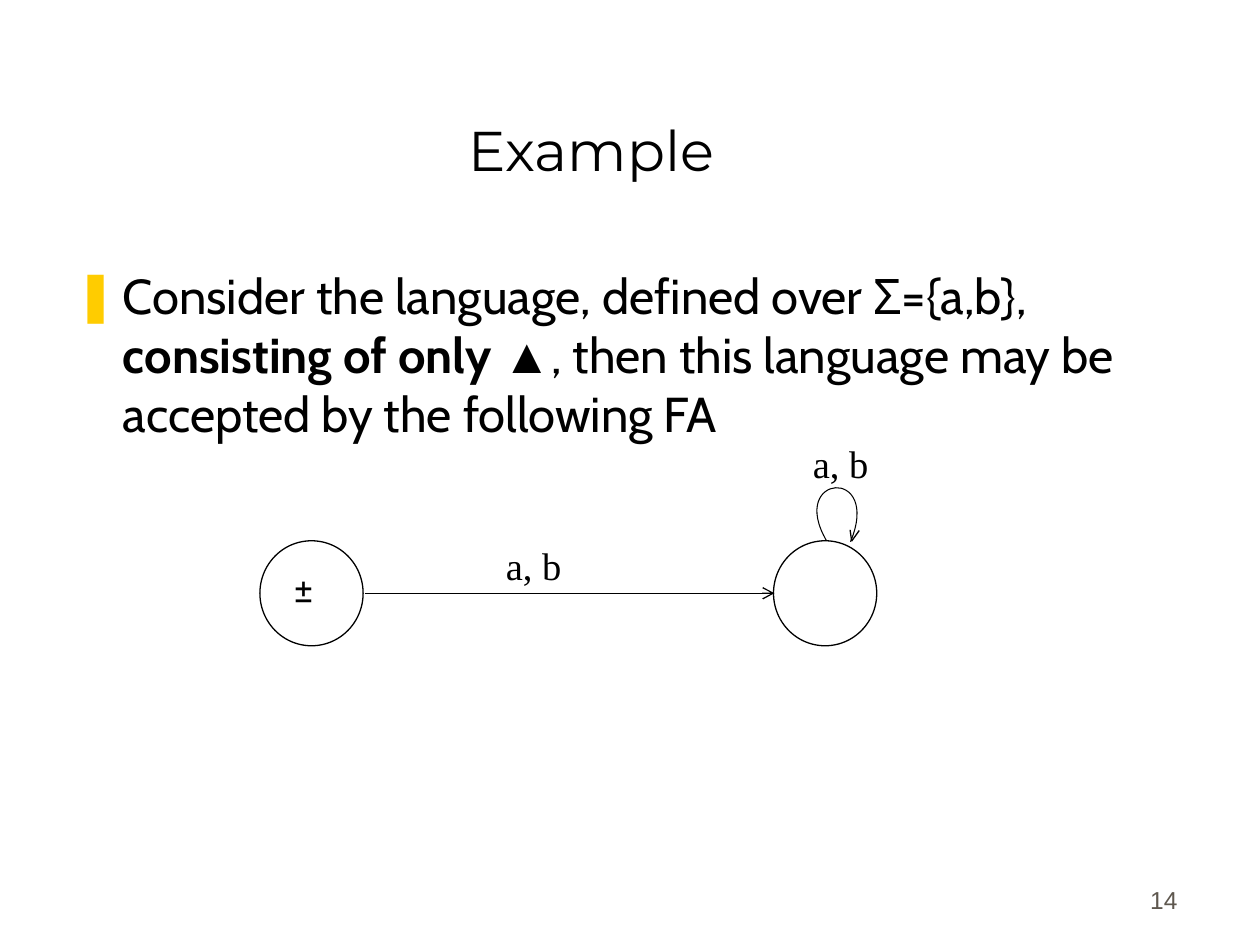
from lxml import etree
from pptx import Presentation
from pptx.dml.color import RGBColor
from pptx.enum.shapes import MSO_CONNECTOR, MSO_SHAPE
from pptx.enum.text import MSO_ANCHOR, MSO_AUTO_SIZE, PP_ALIGN
from pptx.oxml.ns import qn
from pptx.util import Pt

LEFT, CENTER, RIGHT = PP_ALIGN.LEFT, PP_ALIGN.CENTER, PP_ALIGN.RIGHT
TOP, BOTTOM = MSO_ANCHOR.TOP, MSO_ANCHOR.BOTTOM
NO_FIT = MSO_AUTO_SIZE.NONE
OVAL, STRAIGHT = MSO_SHAPE.OVAL, MSO_CONNECTOR.STRAIGHT

COLORS = {"ink": "000000", "paper": "FFFFFF", "bullet": "FFCC00", "number": "5E574E"}
SERIF = "Times New Roman"


def add_run(p, text, font="Cabin", size=28, ink="ink", bold=False):
    r = p.add_run()
    r.text = text
    r.font.name, r.font.size, r.font.bold = font, Pt(size), bold
    r.font.color.rgb = RGBColor.from_string(COLORS[ink])


class SlideBuilder:
    def __init__(self, slide, line_width=0.75):
        self.s = slide
        self.line_width = line_width

    def frame(self, sp, box, anchor=TOP, align=LEFT):
        sp.left, sp.top, sp.width, sp.height = map(Pt, box)
        tf = sp.text_frame
        tf.word_wrap, tf.auto_size, tf.vertical_anchor = True, NO_FIT, anchor
        p = tf.paragraphs[0]
        p.alignment = align
        return p

    def title(self, text, box):
        p = self.frame(self.s.shapes.title, box, BOTTOM, CENTER)
        add_run(p, text, font="Montserrat", size=32)

    def body(self, runs, box, indent=27):
        p = self.frame(self.s.placeholders[1], box)
        p.space_before = Pt(7)
        pPr = p._p.get_or_add_pPr()
        pPr.set("marL", str(Pt(indent)))
        pPr.set("indent", str(-Pt(indent)))
        clr = etree.SubElement(pPr, qn("a:buClr"))
        etree.SubElement(clr, qn("a:srgbClr"), val=COLORS["bullet"])
        etree.SubElement(pPr, qn("a:buChar"), char="❚")
        for text, fmt in runs:
            add_run(p, text, **fmt)

    def label(self, text, box, anchor=TOP, align=LEFT, **fmt):
        sp = self.s.shapes.add_textbox(*map(Pt, box))
        add_run(self.frame(sp, box, anchor, align), text, **fmt)

    def outline(self, sp, width=None):
        sp.line.color.rgb = RGBColor.from_string(COLORS["ink"])
        sp.line.width = Pt(width or self.line_width)

    def state(self, box):
        sp = self.s.shapes.add_shape(OVAL, *map(Pt, box))
        sp.shadow.inherit = False
        sp.fill.solid()
        sp.fill.fore_color.rgb = RGBColor.from_string(COLORS["paper"])
        self.outline(sp)

    def transition(self, x1, x2, y):
        sp = self.s.shapes.add_connector(STRAIGHT, Pt(x1), Pt(y), Pt(x2), Pt(y))
        self.outline(sp)
        etree.SubElement(sp.line._get_or_add_ln(), qn("a:tailEnd"), type="arrow")
        etree.SubElement(sp._element.spPr, qn("a:effectLst"))

    def stroke(self, *points, width=None):
        """Open outline through the points."""
        start, *rest = [(Pt(x), Pt(y)) for x, y in points]
        builder = self.s.shapes.build_freeform(*start)
        builder.add_line_segments(rest, close=False)
        sp = builder.convert_to_shape()
        sp.shadow.inherit = False
        sp.fill.background()
        self.outline(sp, width)
        return sp

    def curve(self, *controls, width=None):
        """Cubic curve: the three segments become its control points."""
        sp = self.stroke(*controls, width=width)
        outline = next(sp._element.iter(qn("a:path")))
        cubic = etree.SubElement(outline, qn("a:cubicBezTo"))
        for segment in outline.findall(qn("a:lnTo")):
            cubic.append(segment[0])
            outline.remove(segment)


def main():
    prs = Presentation()
    prs.slide_width, prs.slide_height = Pt(720), Pt(540)
    b = SlideBuilder(prs.slides.add_slide(prs.slide_layouts[1]))

    # Title, statement and slide number
    b.title("Example", (32, 18, 612, 90))
    b.body([
        ("Consider the language, defined over Σ={a,b}, ", {}),
        ("consisting of only ", {"bold": True}),
        ("▲", {"font": SERIF, "bold": True}),
        (", then this language may be accepted by the following FA", {}),
    ], (36, 148.3, 643.5, 328.5))
    b.label("14", (530, 490, 150, 36), BOTTOM, RIGHT,
            font="Arial", size=14, ink="number")

    # States of the automaton
    width, height, top = 59, 60, 309
    start_x, trap_x = 148.5, 442
    for x in (start_x, trap_x):
        b.state((x, top, width, height))

    # Transitions, the loop with its arrowhead
    b.transition(start_x + width + 1, trap_x + 0.5, top + height / 2)
    b.curve((472.3, 309), (450, 270.7), (504, 266.4), (486, 309.6), width=0.6)
    tip = (486.7, 309.2)
    for barb in ((491, 303.2), (485.8, 302.8)):
        b.stroke(tip, barb)

    # Labels
    for x, y in ((457.4, 248), (282, 306)):
        b.label("a, b", (x, y, 70.5, 48), font=SERIF, size=22)
    b.label("±", (160.5, 318, 70.5, 48), size=24)

    prs.save("out.pptx")


if __name__ == "__main__":
    main()
